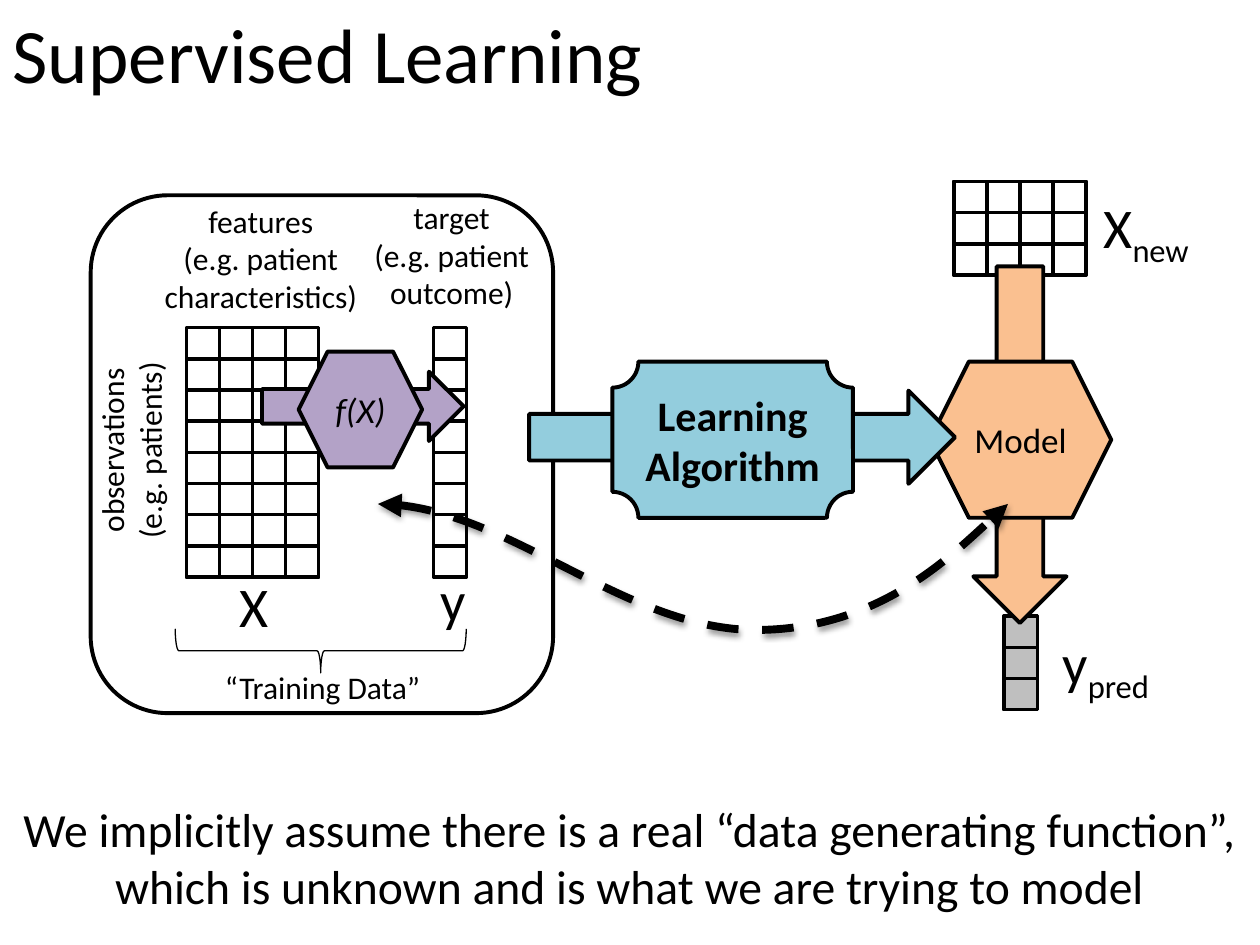
"""Build the Supervised Learning slide."""
import lxml.etree
import pptx
import pptx.dml.color
import pptx.enum.dml
import pptx.enum.shapes
import pptx.enum.text
import pptx.oxml.ns
import pptx.util

Inches = pptx.util.Inches
Pt = pptx.util.Pt
RGBColor = pptx.dml.color.RGBColor
SHAPE = pptx.enum.shapes.MSO_SHAPE
ANCHOR = pptx.enum.text.MSO_ANCHOR
ALIGN = pptx.enum.text.PP_ALIGN
qn = pptx.oxml.ns.qn

BLACK = RGBColor(0x00, 0x00, 0x00)
WHITE = RGBColor(0xFF, 0xFF, 0xFF)
GREY = RGBColor(0xBF, 0xBF, 0xBF)
ORANGE = RGBColor(0xFA, 0xC0, 0x90)
BLUE = RGBColor(0x93, 0xCD, 0xDD)
PURPLE = RGBColor(0xB3, 0xA2, 0xC7)

FONT = "Calibri"
CELL_WIDTH = 0.2625
CELL_HEIGHT = 0.2475


def apply_format(target, values):
    for name, value in values.items():
        setattr(target, name, value)


def add_child(parent, tag, **attributes):
    return lxml.etree.SubElement(parent, qn(tag), attributes)


def write_run(paragraph, text, size, **style):
    run = paragraph.add_run()
    run.text = text
    apply_format(run.font, {"name": FONT, "size": Pt(size), **style})
    run.font.color.rgb = BLACK
    return run


def write_lines(frame, lines, size, align=ALIGN.CENTER, **style):
    for index, line in enumerate(lines):
        paragraph = frame.add_paragraph() if index else frame.paragraphs[0]
        paragraph.alignment = align
        write_run(paragraph, line, size, **style)


def outline(shape, fill, width):
    shape.shadow.inherit = False
    if fill is None:
        shape.fill.background()
    else:
        shape.fill.solid()
        shape.fill.fore_color.rgb = fill
    shape.line.color.rgb = BLACK
    shape.line.width = Pt(width)


def add_figure(shapes, kind, place, fill=None, width=2.25, rotation=0):
    figure = shapes.add_shape(kind, *map(Inches, place))
    outline(figure, fill, width)
    figure.rotation = rotation
    return figure


def add_named_figure(shapes, kind, place, fill, name, size, **style):
    frame = add_figure(shapes, kind, place, fill).text_frame
    apply_format(frame, {"word_wrap": True, "vertical_anchor": ANCHOR.MIDDLE})
    write_lines(frame, [name], size, **style)


def add_label(shapes, place, lines, size=18, wrap=False, rotation=0, subscript=""):
    label = shapes.add_textbox(*map(Inches, place))
    label.rotation = rotation
    label.text_frame.word_wrap = wrap
    write_lines(label.text_frame, lines, size)
    if subscript:
        run = write_run(label.text_frame.paragraphs[0], subscript, size)
        run.font._element.set("baseline", "-25000")


def add_matrix(shapes, left, top, columns, rows, fill=None):
    """Draw filled columns crossed by outlined rows."""
    group = shapes.add_group_shape().shapes
    width, height = columns * CELL_WIDTH, rows * CELL_HEIGHT
    if fill is not None:
        for column in range(columns):
            place = (left + column * CELL_WIDTH, top, CELL_WIDTH, height)
            add_figure(group, SHAPE.RECTANGLE, place, fill, 2)
    for row in range(rows):
        place = (left, top + row * CELL_HEIGHT, width, CELL_HEIGHT)
        add_figure(group, SHAPE.RECTANGLE, place, None, 2)


def add_dashed_curve(shapes, start, *controls):
    """Draw a two-headed Bezier curve from triples of control points."""
    builder = shapes.build_freeform(*start, scale=Inches(1))
    builder.add_line_segments(controls, close=False)
    curve = builder.convert_to_shape()
    outline(curve, None, 4.5)
    curve.line.dash_style = pptx.enum.dml.MSO_LINE.DASH

    outline_path = next(curve._element.iter(qn("a:path")))
    segments = outline_path.findall(qn("a:lnTo"))
    for first in range(0, len(segments), 3):
        bezier = add_child(outline_path, "a:cubicBezTo")
        for segment in segments[first:first + 3]:
            bezier.append(segment[0])
            outline_path.remove(segment)

    properties = curve._element.spPr
    for end in ("a:headEnd", "a:tailEnd"):
        add_child(properties.find(qn("a:ln")), end, type="triangle")
    shadow = add_child(properties.find(qn("a:effectLst")), "a:outerShdw",
                       blurRad=str(Pt(3.1)), dist=str(Pt(1.6)), dir="5400000",
                       rotWithShape="0")
    shade = add_child(shadow, "a:srgbClr", val=str(BLACK))
    add_child(shade, "a:alpha", val="38000")


def fill_placeholder(placeholder, place, text, size, align):
    sides = ("left", "top", "width", "height")
    apply_format(placeholder, dict(zip(sides, map(Inches, place))))
    frame = placeholder.text_frame
    apply_format(frame, {"word_wrap": True, "vertical_anchor": ANCHOR.TOP,
                         "auto_size": pptx.enum.text.MSO_AUTO_SIZE.NONE})
    paragraph = frame.paragraphs[0]
    properties = paragraph._p.get_or_add_pPr()
    apply_format(paragraph, {"space_before": Pt(0)})
    add_child(properties, "a:buNone")
    properties.set("marL", "0")
    properties.set("indent", "0")
    write_lines(frame, [text], size, align)


def add_prediction(shapes):
    add_matrix(shapes, 7.57, 1.44, 4, 3, WHITE)
    add_matrix(shapes, 7.97, 4.89, 1, 3, GREY)
    add_label(shapes, (8.62, 1.48, 0.95, 0.64), ["X"], 32, subscript="new")
    add_label(shapes, (8.29, 4.94, 0.97, 0.64), ["y"], 32, subscript="pred")
    add_figure(shapes, SHAPE.RIGHT_ARROW, (6.68, 3.16, 2.83, 0.74), ORANGE, rotation=90)
    add_named_figure(shapes, SHAPE.HEXAGON, (7.38, 2.87, 1.44, 1.24), ORANGE, "Model", 20)


def add_training_data(shapes):
    add_matrix(shapes, 1.48, 2.6, 4, 8, WHITE)
    add_label(shapes, (1.09, 1.55, 1.96, 1.01),
              ["features", "(e.g. patient characteristics)"], wrap=True)
    add_label(shapes, (0.23, 3.22, 1.62, 0.71),
              ["observations", "(e.g. patients)"], rotation=270)
    add_matrix(shapes, 3.44, 2.6, 1, 8)
    add_label(shapes, (2.81, 1.52, 1.55, 1.01),
              ["target", "(e.g. patient outcome)"], wrap=True)
    add_label(shapes, (1.8, 4.49, 0.43, 0.64), ["X"], 32)
    add_label(shapes, (3.39, 4.44, 0.41, 0.64), ["y"], 32)
    add_figure(shapes, SHAPE.RIGHT_BRACE, (2.37, 4.01, 0.35, 2.31), width=0.75, rotation=90)
    add_label(shapes, (1.67, 5.25, 1.78, 0.4), ["“Training Data”"])
    add_figure(shapes, SHAPE.ROUNDED_RECTANGLE, (0.72, 1.55, 3.67, 4.11))


def add_functions(shapes):
    add_figure(shapes, SHAPE.RIGHT_ARROW, (4.2, 3.1, 3.38, 0.74), BLUE)
    add_named_figure(shapes, SHAPE.PLAQUE, (4.86, 2.87, 1.91, 1.24), BLUE,
                     "Learning Algorithm", 24, bold=True)
    add_figure(shapes, SHAPE.RIGHT_ARROW, (2.08, 2.95, 1.6, 0.55), PURPLE)
    add_named_figure(shapes, SHAPE.HEXAGON, (2.37, 2.79, 0.98, 0.92), PURPLE,
                     "f(X)", 20, italic=True)
    add_dashed_curve(shapes, (2.9, 3.57), (3.89, 4.31), (4.87, 5.04), (5.75, 5.06),
                     (6.62, 5.08), (8.13, 3.67), (8.13, 3.67))


def main():
    presentation = pptx.Presentation()
    apply_format(presentation, {"slide_width": Inches(10), "slide_height": Inches(7.5)})
    slide = presentation.slides.add_slide(presentation.slide_layouts[1])
    title, assumption = slide.placeholders
    fill_placeholder(title, (0, 0, 10, 1.25), "Supervised Learning", 44, ALIGN.LEFT)
    fill_placeholder(assumption, (0, 6.3, 10, 0.95),
                     "We implicitly assume there is a real “data generating function”, "
                     "which is unknown and is what we are trying to model",
                     27.2, ALIGN.CENTER)
    add_prediction(slide.shapes)
    add_training_data(slide.shapes)
    add_functions(slide.shapes)
    presentation.save("out.pptx")


if __name__ == "__main__":
    main()
